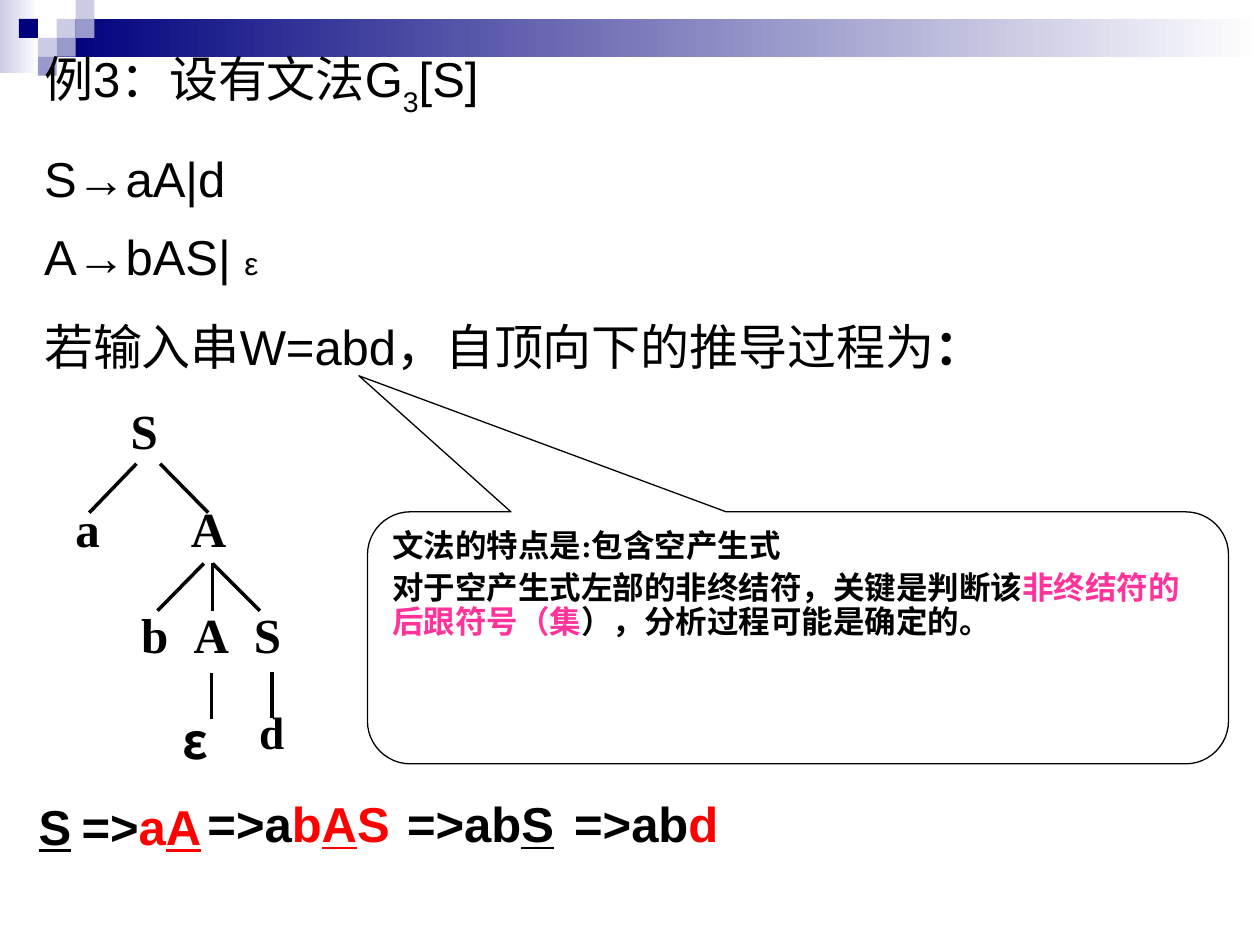
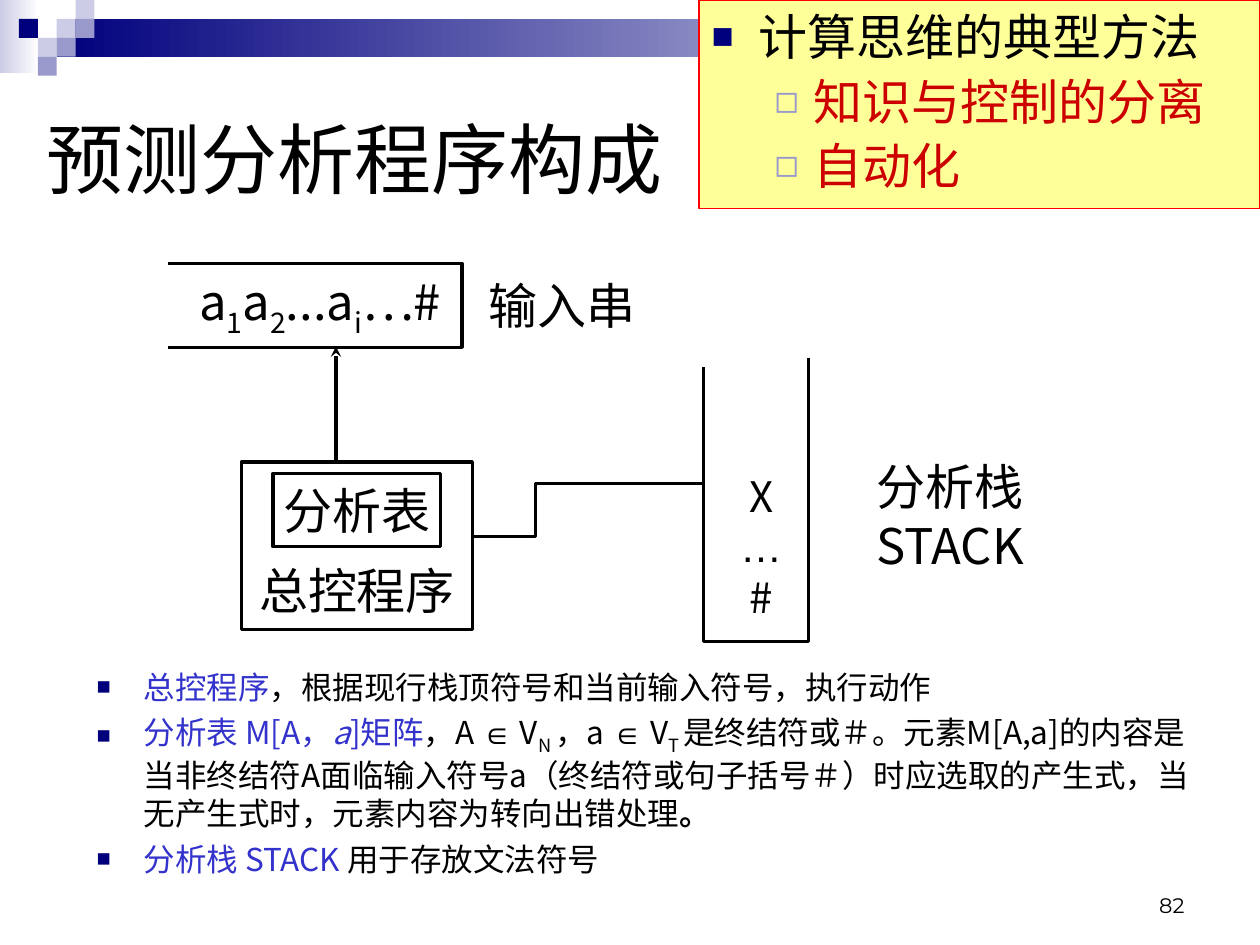
"""Build two lecture slides on top-down parsing and the predictive parser."""
import pptx
import pptx.util
import pptx.dml.color
import pptx.enum.dml
import pptx.enum.shapes
import pptx.enum.text
import pptx.oxml
import pptx.oxml.ns
import lxml.etree

Pt = pptx.util.Pt
SHAPES = pptx.enum.shapes.MSO_SHAPE
ALIGN = pptx.enum.text.PP_ALIGN
ANCHOR = pptx.enum.text.MSO_ANCHOR
AUTOSIZE = pptx.enum.text.MSO_AUTO_SIZE

ARIAL, TIMES, NOTO = "Arial", "Times New Roman", "Noto Sans CJK SC"
BLACK, NAVY, PALE, MID = "000000", "00007D", "CCCCE6", "9999CC"
RED, CRIMSON, PINK, BLUE = "FF0000", "CC0000", "FF3399", "3333CC"
UNIT = 10.8
SQUARE_BULLET = ("■", NAVY, 75, 27, -27)
HOLLOW_BULLET = ("◻", MID, 80, 58.5, -22.5)


def color(value):
    return pptx.dml.color.RGBColor.from_string(value)


def add_xml(parent, tag, **attributes):
    return lxml.etree.SubElement(parent, pptx.oxml.ns.qn(tag), **attributes)


def style_span(span, font=ARIAL, size=28, ink=BLACK, bold=False, italic=False,
               underline=False, baseline=0):
    span.font.name = font
    span.font.size = Pt(size)
    span.font.color.rgb = color(ink)
    span.font.bold = bold
    span.font.italic = italic
    span.font.underline = underline
    properties = span.font._element
    if baseline:
        properties.set("baseline", str(baseline * 1000))
    add_xml(properties, "a:ea", typeface=NOTO)


def set_bullet(para, bullet):
    properties = para._p.get_or_add_pPr()
    if bullet is None:
        properties.set("marL", "0")
        properties.set("indent", "0")
        add_xml(properties, "a:buNone")
        return
    character, ink, percent, margin, indent = bullet
    properties.set("marL", str(Pt(margin)))
    properties.set("indent", str(Pt(indent)))
    add_xml(add_xml(properties, "a:buClr"), "a:srgbClr", val=ink)
    add_xml(properties, "a:buSzPct", val=str(percent * 1000))
    add_xml(properties, "a:buFont", typeface=ARIAL)
    add_xml(properties, "a:buChar", char=character)


def write(frame, paragraphs, gaps=None, bullets=None, align=ALIGN.LEFT,
          spacing=1.0, anchor=ANCHOR.TOP, wrap=True, **base):
    """Fill a frame; a paragraph is a list of (text, style) spans or plain text."""
    frame.word_wrap = wrap
    frame.auto_size = AUTOSIZE.NONE
    frame.vertical_anchor = anchor
    gaps = gaps or [0] * len(paragraphs)
    bullets = bullets or [None] * len(paragraphs)
    for index, (spans, gap, bullet) in enumerate(zip(paragraphs, gaps, bullets)):
        para = frame.add_paragraph() if index else frame.paragraphs[0]
        set_bullet(para, bullet)
        para.alignment = align
        para.line_spacing = spacing
        para.space_before = Pt(gap)
        for text, style in [(spans, {})] if isinstance(spans, str) else spans:
            span = para.add_run()
            span.text = text
            style_span(span, **{**base, **style})


def add_text(page, place, paragraphs, **options):
    box = page.shapes.add_textbox(*map(Pt, place))
    write(box.text_frame, paragraphs, **options)


def fill_placeholder(shape, place, paragraphs, **options):
    shape.left, shape.top, shape.width, shape.height = map(Pt, place)
    write(shape.text_frame, paragraphs, **options)


def outline(shape, fill, ink, width):
    shape.shadow.inherit = False
    if fill:
        shape.fill.solid()
        shape.fill.fore_color.rgb = color(fill)
    else:
        shape.fill.background()
    if ink:
        shape.line.color.rgb = color(ink)
        shape.line.width = Pt(width)
    else:
        shape.line.fill.background()


def add_box(page, place, fill=None, ink=None, width=1.75, kind=SHAPES.RECTANGLE):
    shape = page.shapes.add_shape(kind, *map(Pt, place))
    outline(shape, fill, ink, width)
    return shape


def add_gradient(page, place, start):
    shape = add_box(page, place)
    shape.fill.gradient()
    shape.fill.gradient_angle = 0
    for stop, ink in zip(shape.fill.gradient_stops, (start, "FFFFFF")):
        stop.color.rgb = color(ink)
    return shape


def add_line(page, start, end, width=2, arrow=False):
    line = page.shapes.add_connector(pptx.enum.shapes.MSO_CONNECTOR.STRAIGHT,
                                     *map(Pt, start + end))
    line.line.color.rgb = color(BLACK)
    line.line.width = Pt(width)
    if arrow:
        add_xml(line.line._get_or_add_ln(), "a:tailEnd", type="stealth")
    add_xml(line._element.spPr, "a:effectLst")


def add_open_path(page, points):
    first, *rest = [tuple(map(Pt, point)) for point in points]
    builder = page.shapes.build_freeform(*first, scale=1.0)
    builder.add_line_segments(rest, close=False)
    outline(builder.convert_to_shape(), None, BLACK, 1.75)


def decorate_master(deck, page):
    """Draw the header band on a page and hand it to the slide master."""
    shapes = [add_gradient(page, (0, 0, 22.3, 41.8), PALE),
              add_gradient(page, (32.4, UNIT, 687.6, 21.6), NAVY)]
    squares = [(3, 1, PALE), (4, 0, PALE), (4, 1, MID), (2, 2, PALE),
               (1, 1, NAVY), (3, 2, MID), (2, 3, MID)]
    for column, row, ink in squares:
        place = (column * UNIT, row * UNIT, UNIT, UNIT)
        shapes.append(add_box(page, place, fill=ink))
    for shape in shapes:
        deck.slide_master.element.cSld.spTree.append(shape._element)


def build_tree(page):
    branches = [((78, 265), (51, 293)), ((91.5, 265), (119, 293)),
                ((116.5, 322), (90, 349)), ((121.5, 322), (148.5, 349)),
                ((121.5, 322), (121.5, 349)), ((121, 384.5), (121, 411)),
                ((155.5, 384), (155.5, 410.5))]
    for start, end in branches:
        add_line(page, start, end)
    nodes = [("S", 67.5, 225.5), ("a", 36, 281.5), ("A", 102, 281.5),
             ("b", 73.5, 342), ("A", 103.5, 342), ("S", 138, 342)]
    for label, left, top in nodes:
        add_text(page, (left, top, 40, 43), [label], font=TIMES, bold=True)
    add_text(page, (97, 402.5, 40, 53), ["ε"], font=NOTO, bold=True)
    add_text(page, (141, 402.5, 54, 40), ["d"], font=TIMES, bold=True,
             size=25.9, spacing=0.9)


def build_derivation(page):
    red, red_line, line = {"ink": RED}, {"ink": RED, "underline": True}, {"underline": True}
    steps = [(15, 451.5, 37, [("S", line)]),
             (39.5, 451.5, 87, [("=>", {}), ("a", red), ("A", red_line)]),
             (111.5, 450, 124, [("=>a", {}), ("b", red), ("A", red_line), ("S", red)]),
             (225.5, 450, 104, [("=>ab", {}), ("S", line)]),
             (321, 450, 110, [("=>ab", {}), ("d", red)])]
    for left, top, width, spans in steps:
        add_text(page, (left, top, width, 41), [spans], bold=True)


def build_grammar_slide(page):
    page.shapes.title._element.getparent().remove(page.shapes.title._element)
    times = {"font": TIMES}
    fill_placeholder(page.placeholders[1], (18, 24, 684, 194), [
        [("例", times), ("3：", {}), ("设有文法", times), ("G", {}),
         ("3", {"baseline": -30}), ("[S]", {})],
        "S→aA|d",
        [("A→bAS| ", {}), ("ε", {"size": 18})],
        [("若输入串", times), ("W=abd", {}), ("，自顶向下的推导过程为", times),
         ("：", {"font": TIMES, "bold": True})],
    ], gaps=[0, 17.5, 11.2, 17.5])
    build_tree(page)
    build_derivation(page)
    callout = add_box(page, (210, 292.5, 492, 144), "FFFFFF", BLACK, 0.75,
                      SHAPES.ROUNDED_RECTANGULAR_CALLOUT)
    for index, value in enumerate((-0.51, -1.04, 0.17)):
        callout.adjustments[index] = value
    write(callout.text_frame, [
        [("文法的特点是:包含空产生式", times)],
        [("对于空产生式左部的非终结符，关键是判断该", {}),
         ("非终结符的后跟符号（集", {"ink": PINK}), ("），分析过程可能是确定的。", {})],
    ], gaps=[0, 4.5], spacing=0.9, size=18, bold=True)


def build_diagram(page):
    label = {"font": NOTO, "align": ALIGN.CENTER, "anchor": ANCHOR.MIDDLE, "wrap": False}
    program = add_box(page, (138, 264, 132, 96), ink=BLACK)
    write(program.text_frame, ["总控程序"], **{**label, "anchor": ANCHOR.BOTTOM})
    program.text_frame.margin_bottom = Pt(6)
    table = add_box(page, (156, 270.5, 96, 42), ink=BLACK)
    write(table.text_frame, ["分析表"], **label)
    add_open_path(page, [(402, 210), (402, 366.5), (462, 366.5), (462, 204.5)])
    add_open_path(page, [(96, 150.5), (264, 150.5), (264, 198.5), (96, 198.5)])
    add_open_path(page, [(270, 306.5), (306, 306.5), (306, 276.5), (402, 276.5)])
    add_line(page, (192, 264), (192, 198), 1.75, arrow=True)
    add_text(page, (414, 264, 42, 96), ["X", [("…", {"font": ARIAL})], "#"],
             size=24, **label)
    add_text(page, (246, 156.5, 150, 36), ["输入串"], **label)
    add_text(page, (468, 276.5, 150, 36), ["分析栈", "STACK"], **label)
    low = {"baseline": -25}
    add_text(page, (108, 156.5, 150, 36), [
        [("a", {}), ("1", low), ("a", {}), ("2", low), ("...a", {}), ("i", low),
         ("…#", {})]], **label)


def build_parser_slide(page):
    fill_placeholder(page.shapes.title, (19.5, 36, 664.5, 108), ["预测分析程序构成"],
                     anchor=ANCHOR.MIDDLE, font=NOTO, size=44)
    build_diagram(page)
    note = add_box(page, (399.5, 0, 320.5, 119), "FFFF99", RED, 0.75)
    crimson = {"ink": CRIMSON}
    write(note.text_frame, ["计算思维的典型方法", [("知识与控制的分离", crimson)],
                            [("自动化", crimson)]],
          gaps=[0, 3.5, 3], font=NOTO,
          bullets=[SQUARE_BULLET, HOLLOW_BULLET, HOLLOW_BULLET])
    for para in note.text_frame.paragraphs[1:]:
        para.level = 1
    blue, low, member = {"ink": BLUE}, {"baseline": -25}, ("∈", {"font": ARIAL})
    fill_placeholder(page.placeholders[1], (48, 378, 652.5, 142), [
        [("总控程序", blue), ("，根据现行栈顶符号和当前输入符号，执行动作", {})],
        [("分析表 M[A，", blue), ("a", {"ink": BLUE, "italic": True}), ("]矩阵", blue),
         ("，A ", {}), member, (" V", {}), ("N ", low), ("，a ", {}), member,
         (" V", {}), ("T ", low), ("是终结符或", {}), ("＃。", {"font": TIMES}),
         ("元素M[A,a]的内容是当非终结符A面临输入符号a（终结符或句子括号＃）"
          "时应选取的产生式，当无产生式时，元素内容为转向出错处理", {}),
         ("。", {"bold": True})],
        [("分析栈 STACK ", blue), ("用于存放文法符号", {})],
    ], gaps=[0, 4.5, 4.5], bullets=[SQUARE_BULLET] * 3, font=NOTO, size=18)
    add_text(page, (516, 492, 168, 36), ["82"], align=ALIGN.RIGHT,
             anchor=ANCHOR.BOTTOM, font="Montserrat", size=12)


def main():
    deck = pptx.Presentation()
    deck.slide_width, deck.slide_height = Pt(720), Pt(540)
    layout = deck.slide_layouts[1]
    grammar, parser = [deck.slides.add_slide(layout) for _ in range(2)]
    decorate_master(deck, grammar)
    build_grammar_slide(grammar)
    build_parser_slide(parser)
    deck.save("out.pptx")


if __name__ == "__main__":
    main()
